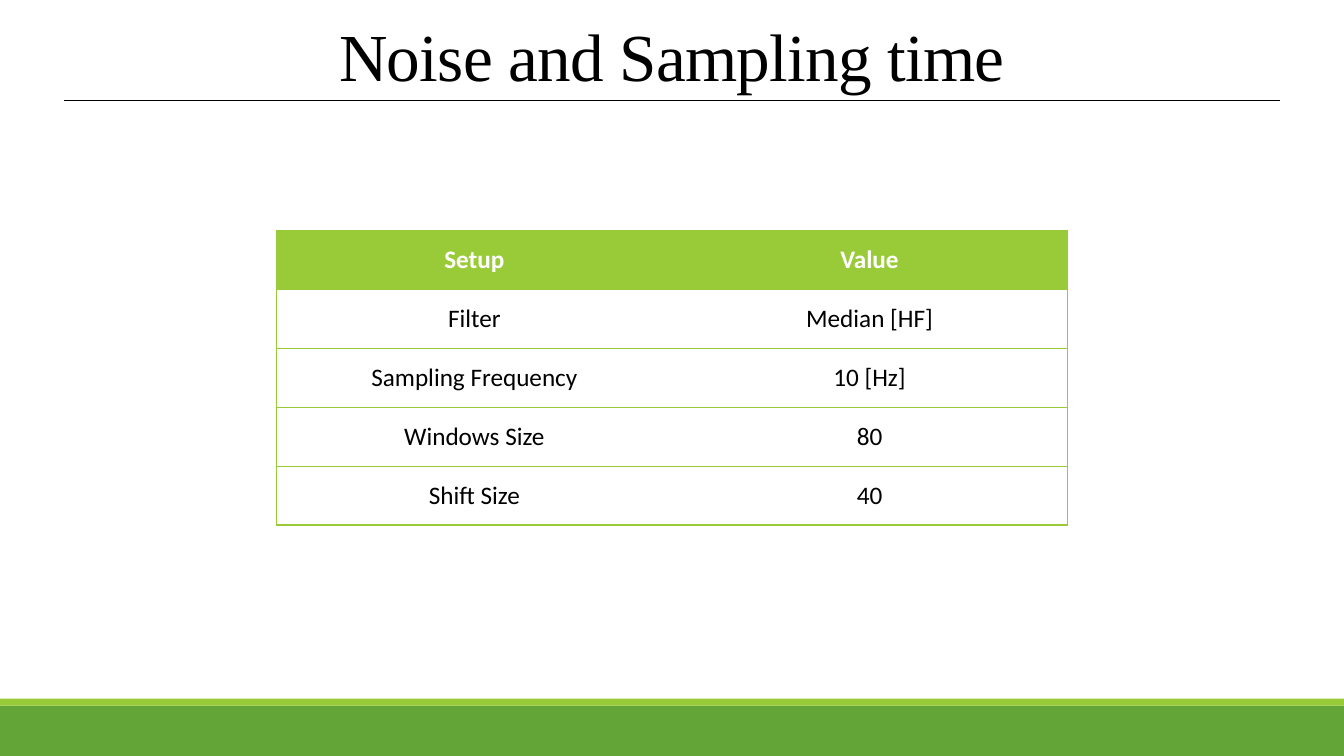
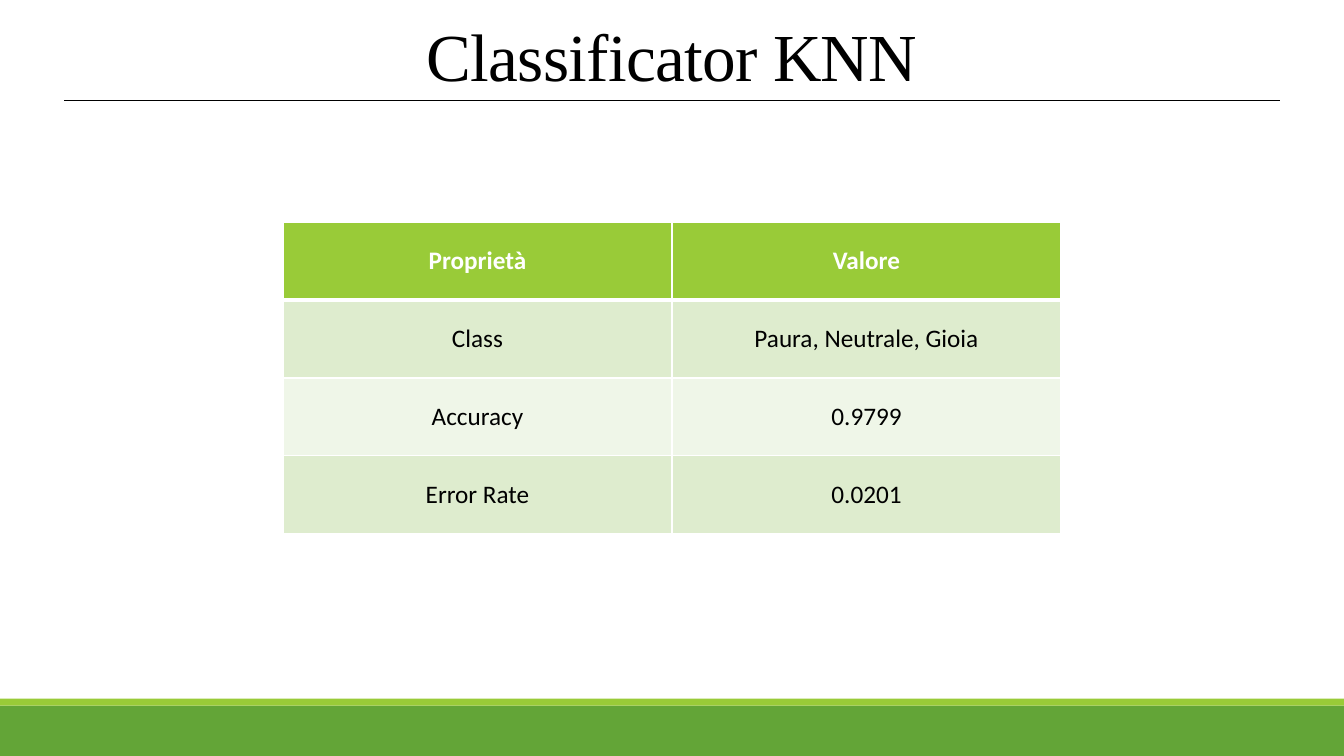
"""Build two result slides, each with a ruled title, a centred table and a green footer."""
from lxml.etree import SubElement
from pptx import Presentation
from pptx.dml.color import RGBColor
from pptx.enum.shapes import MSO_CONNECTOR, MSO_SHAPE
from pptx.enum.text import MSO_ANCHOR, PP_ALIGN
from pptx.oxml.ns import qn
from pptx.util import Pt

COLORS = {
    "black": "000000",
    "white": "FFFFFF",
    "lime": "99CB38",
    "green": "63A537",
    "band_dark": "DEECCE",
    "band_light": "EFF6E8",
}
SLIDE_WIDTH, SLIDE_HEIGHT = 960, 540
NO_TABLE_STYLE = "{2D5ABB26-0587-4C30-8999-92F81FD0307C}"
FOOTER_BANDS = [(504, 36, "green"), (499, 5, "lime")]

SLIDES = [
    {
        "title": "Noise and Sampling time",
        "title_width": 564.5,
        "table_width": 564.5,
        "row_height": 42.05,
        "border": "lime",
        "header_rule": 1,
        "inner_vertical": False,
        "bands": ["white", "white"],
        "rows": [
            ("Setup", "Value"),
            ("Filter", "Median [HF]"),
            ("Sampling Frequency", "10 [Hz]"),
            ("Windows Size", "80"),
            ("Shift Size", "40"),
        ],
    },
    {
        "title": "Classificator KNN",
        "title_width": 382.3,
        "table_width": 555.8,
        "row_height": 55.6,
        "border": "white",
        "header_rule": 3,
        "inner_vertical": True,
        "bands": ["band_dark", "band_light"],
        "rows": [
            ("Proprietà", "Valore"),
            ("Class", "Paura, Neutrale, Gioia"),
            ("Accuracy", "0.9799"),
            ("Error Rate", "0.0201"),
        ],
    },
]


def style_paragraph(paragraph, font_name, size, color, bold=False):
    paragraph.alignment = PP_ALIGN.CENTER
    font = paragraph.runs[0].font
    font.name, font.size, font.bold = font_name, Pt(size), bold
    font.color.rgb = RGBColor.from_string(COLORS[color])


def add_border(cell, side, width, color):
    properties = cell._tc.get_or_add_tcPr()
    line = SubElement(properties, qn(f"a:ln{side}"), w=str(Pt(width)))
    if width:
        fill = SubElement(line, qn("a:solidFill"))
        SubElement(fill, qn("a:srgbClr"), val=COLORS[color])
    else:
        SubElement(line, qn("a:noFill"))


presentation = Presentation()
presentation.slide_width = Pt(SLIDE_WIDTH)
presentation.slide_height = Pt(SLIDE_HEIGHT)

for content in SLIDES:
    slide = presentation.slides.add_slide(presentation.slide_layouts[6])

    for top, height, color in FOOTER_BANDS:
        band = slide.shapes.add_shape(
            MSO_SHAPE.RECTANGLE, 0, Pt(top), Pt(SLIDE_WIDTH), Pt(height))
        band.shadow.inherit = False
        band.fill.solid()
        band.fill.fore_color.rgb = RGBColor.from_string(COLORS[color])
        band.line.fill.background()

    title_rule = slide.shapes.add_connector(
        MSO_CONNECTOR.STRAIGHT, Pt(46), Pt(72), Pt(914), Pt(72))
    title_rule.line.width = Pt(1)
    title_rule.line.color.rgb = RGBColor.from_string(COLORS["black"])
    SubElement(title_rule._element.spPr, qn("a:effectLst"))

    title_width = content["title_width"]
    title = slide.shapes.add_textbox(
        Pt((SLIDE_WIDTH - title_width) / 2), Pt(13.7), Pt(title_width), Pt(57.6))
    title.text_frame.word_wrap = True
    title.text_frame.vertical_anchor = MSO_ANCHOR.BOTTOM
    title.text_frame.text = content["title"]
    paragraph = title.text_frame.paragraphs[0]
    paragraph.line_spacing = 0.85
    style_paragraph(paragraph, "Times New Roman", 48, "black")
    paragraph.runs[0]._r.get_or_add_rPr().set("spc", "-50")

    rows = content["rows"]
    table_width = content["table_width"]
    table_height = content["row_height"] * len(rows)
    table = slide.shapes.add_table(
        len(rows), 2,
        Pt((SLIDE_WIDTH - table_width) / 2), Pt((SLIDE_HEIGHT - table_height) / 2),
        Pt(table_width), Pt(table_height)).table
    table._tbl.tblPr.find(qn("a:tableStyleId")).text = NO_TABLE_STYLE
    table.horz_banding = False

    for row_index, row in enumerate(rows):
        is_header = row_index == 0
        for column_index, text in enumerate(row):
            cell = table.cell(row_index, column_index)
            inner = 1 if content["inner_vertical"] else 0
            widths = {
                "L": 1 if column_index == 0 else inner,
                "R": 1 if column_index == 1 else inner,
                "T": content["header_rule"] if row_index == 1 else 1,
                "B": content["header_rule"] if is_header else 1,
            }
            for side, width in widths.items():
                add_border(cell, side, width, content["border"])
            fill_color = "lime" if is_header else content["bands"][(row_index - 1) % 2]
            cell.fill.solid()
            cell.fill.fore_color.rgb = RGBColor.from_string(COLORS[fill_color])
            cell.vertical_anchor = MSO_ANCHOR.MIDDLE
            cell.text_frame.text = text
            style_paragraph(cell.text_frame.paragraphs[0], "Calibri", 18,
                            "white" if is_header else "black", is_header)

presentation.save("out.pptx")
